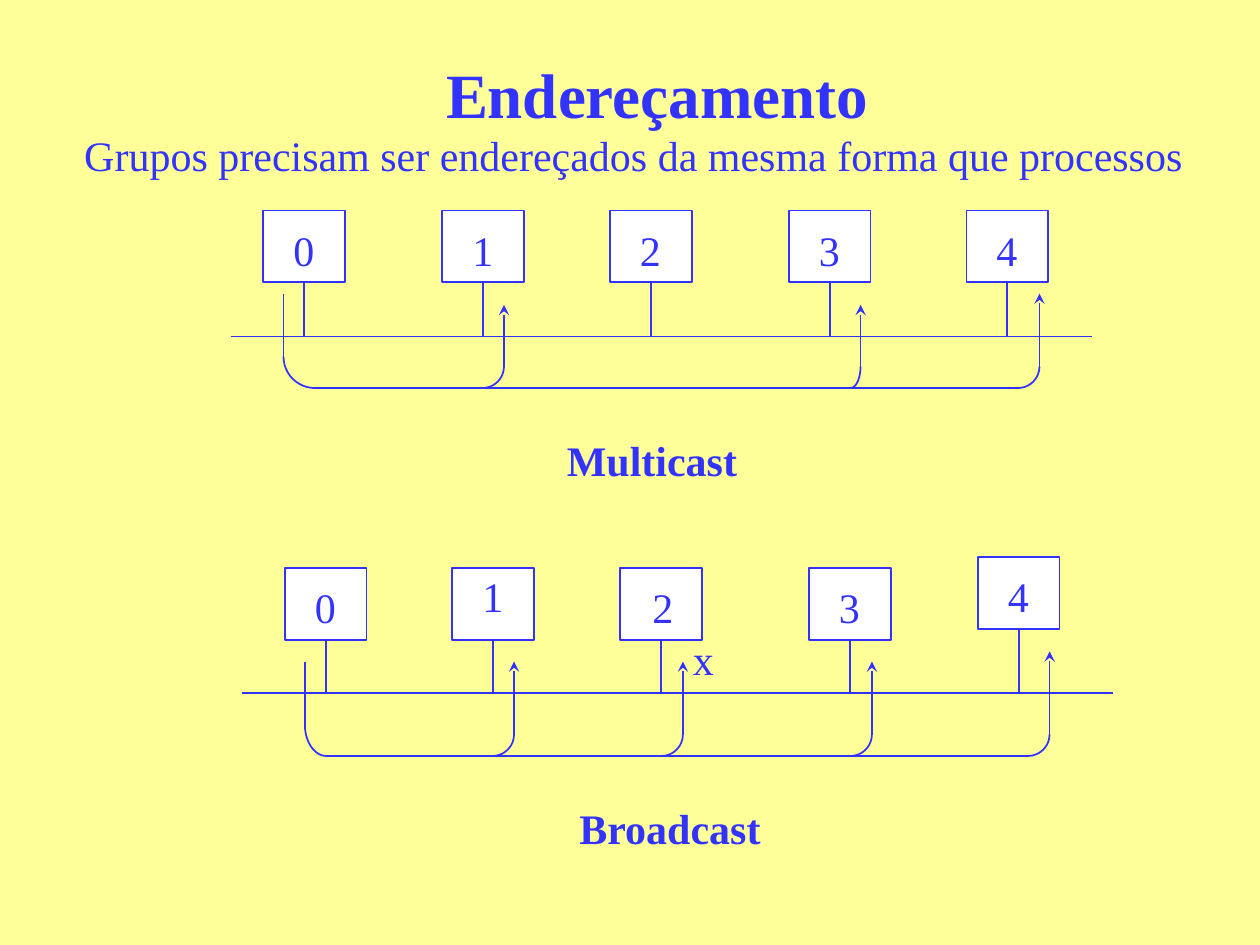
from math import cos, pi, sin

from lxml import etree
from pptx import Presentation
from pptx.dml.color import RGBColor
from pptx.enum.shapes import MSO_CONNECTOR, MSO_SHAPE
from pptx.enum.text import MSO_AUTO_SIZE, PP_ALIGN
from pptx.oxml.ns import qn
from pptx.util import Inches, Pt

STRAIGHT = MSO_CONNECTOR.STRAIGHT
RECTANGLE = MSO_SHAPE.RECTANGLE
CENTER = PP_ALIGN.CENTER
FIT_SHAPE = MSO_AUTO_SIZE.SHAPE_TO_FIT_TEXT

COLORS = {"background": "FFFF99", "ink": "3333FF", "node": "FFFFFF"}
INK = RGBColor.from_string(COLORS["ink"])
FONT = "Times New Roman"
NODE_W, NODE_H = 0.65, 0.57
BOTTOM_SIDE = 2
SENDER_DROP = 0.25   # height of the bend below the sender
BEND = 0.17          # size of the bend below a receiver
ARC_STEPS = 12

# Node: left, top, label offset right, label offset down.
# Receiver: x, arrow tip y, bend width.
networks = [
    {
        "nodes": [(left, 1.67, 0.14, 0.06) for left in (2.09, 3.51, 4.84, 6.26, 7.67)],
        "bus": (1.83, 8.67, 2.67),
        "sender": (2.25, 2.33, 0.25),
        "path_y": 3.08,
        "receivers": [(4, 2.42, BEND), (6.83, 2.42, 0.08), (8.25, 2.33, BEND)],
        "caption": ("Multicast", 4.4, 3.4, 1.55),
    },
    {
        "nodes": [(2.26, 4.51, 0.14, 0.06), (3.59, 4.51, 0.14, -0.03),
                  (4.92, 4.51, 0.16, 0.06), (6.42, 4.51, 0.14, 0.06),
                  (7.76, 4.42, 0.14, 0.06)],
        "bus": (1.92, 8.83, 5.5),
        "sender": (2.42, 5.25, BEND),
        "path_y": 6,
        "receivers": [(4.08, 5.25, BEND), (5.42, 5.25, BEND),
                      (6.92, 5.25, BEND), (8.33, 5.17, BEND)],
        "caption": ("Broadcast", 4.5, 6.32, 2.13),
    },
]

prs = Presentation()
prs.slide_width, prs.slide_height = Inches(10), Inches(7.5)
slide = prs.slides.add_slide(prs.slide_layouts[6])
slide.background.fill.solid()
slide.background.fill.fore_color.rgb = RGBColor.from_string(COLORS["background"])
shapes = slide.shapes


def add_text(runs, left, top, width, height=0.5, wrap=False):
    """Add a text box from (text, size, bold) runs and return its frame."""
    frame = shapes.add_textbox(
        Inches(left), Inches(top), Inches(width), Inches(height)).text_frame
    frame.word_wrap = wrap
    for text, size, bold in runs:
        run = frame.paragraphs[0].add_run()
        run.text = text
        run.font.name = FONT
        run.font.size = Pt(size)
        run.font.bold = bold
        run.font.color.rgb = INK
    return frame


def add_line(x1, y1, x2, y2, arrow=False):
    line = shapes.add_connector(STRAIGHT, Inches(x1), Inches(y1), Inches(x2), Inches(y2))
    line.line.color.rgb = INK
    line.line.width = Pt(1)
    if arrow:
        etree.SubElement(line.line._get_or_add_ln(), qn("a:tailEnd"), type="stealth")
    etree.SubElement(line._element.spPr, qn("a:effectLst"))
    return line


title = add_text([(" ", 32, False), ("Endereçamento", 36, True)],
                 0.91, 0.33, 8.5, 6.33, wrap=True)
title.margin_top = Inches(0.11)
title.paragraphs[0].alignment = CENTER

for network in networks:
    bus_left, bus_right, bus_y = network["bus"]
    add_line(bus_left, bus_y, bus_right, bus_y)

    for number, (left, top, label_dx, label_dy) in enumerate(network["nodes"]):
        node = shapes.add_shape(
            RECTANGLE, Inches(left), Inches(top), Inches(NODE_W), Inches(NODE_H))
        node.shadow.inherit = False
        node.fill.solid()
        node.fill.fore_color.rgb = RGBColor.from_string(COLORS["node"])
        node.line.color.rgb = INK
        node.line.width = Pt(1)
        middle = left + NODE_W / 2
        stem = add_line(middle, top + NODE_H, middle, bus_y)
        stem.begin_connect(node, BOTTOM_SIDE)
        label = add_text([(str(number), 24, False)], left + label_dx, top + label_dy, 0.37)
        label.auto_size = FIT_SHAPE

    path_y = network["path_y"]
    sender_x, sender_top, sender_bend = network["sender"]
    last_x, _, last_bend = network["receivers"][-1]
    add_line(sender_x, sender_top, sender_x, path_y - SENDER_DROP)
    add_line(sender_x + sender_bend, path_y, last_x - last_bend, path_y)

    # Bend: x where it turns vertical, signed width towards the path, height
    bends = [(sender_x, sender_bend, SENDER_DROP)]
    for x, tip_y, bend in network["receivers"]:
        add_line(x, path_y - BEND, x, tip_y, arrow=True)
        bends.append((x, -bend, BEND))

    for x, width, height in bends:
        angles = [step * pi / 2 / ARC_STEPS for step in range(ARC_STEPS + 1)]
        points = [(Inches(x + width * (1 - cos(a))), Inches(path_y - height * (1 - sin(a))))
                  for a in angles]
        builder = shapes.build_freeform(*points[0])
        builder.add_line_segments(points[1:], close=False)
        curve = builder.convert_to_shape()
        curve.shadow.inherit = False
        curve.fill.background()
        curve.line.color.rgb = INK
        curve.line.width = Pt(1)

    caption, left, top, width = network["caption"]
    add_text([(caption, 24, True)], left, top, width).auto_size = FIT_SHAPE

add_text([("x", 24, False)], 5.4, 4.98, 0.37).auto_size = FIT_SHAPE
add_text([("Grupos precisam ser endereçados da mesma forma que processos", 24, False)],
         0.57, 0.98, 8.92).auto_size = FIT_SHAPE

prs.save("out.pptx")
